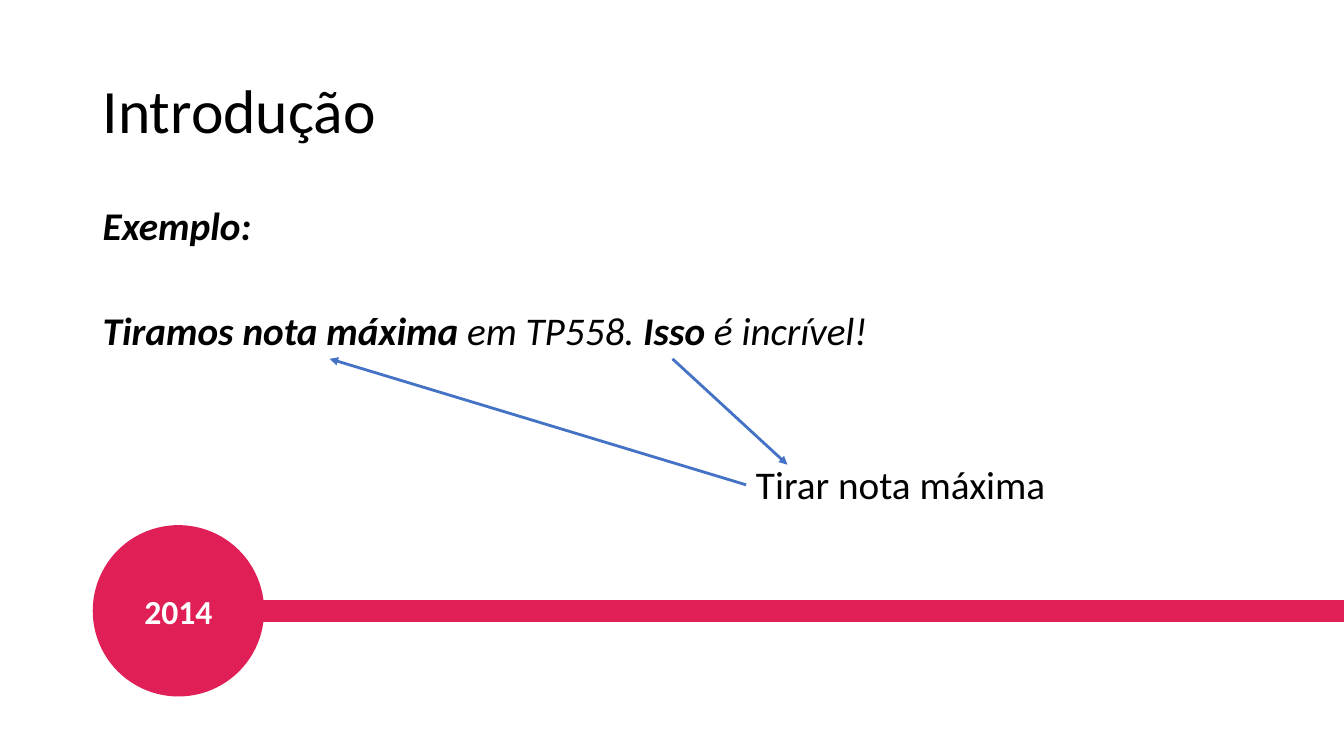
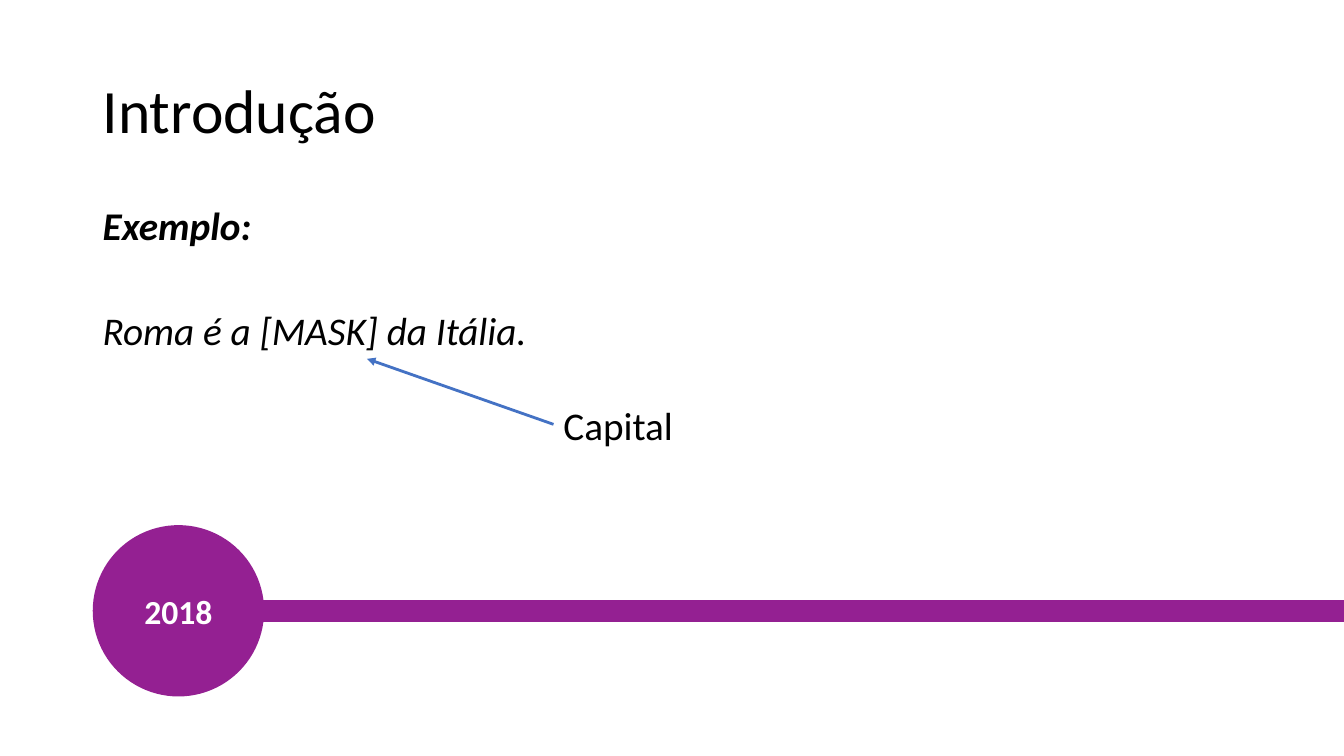
from pptx import Presentation
from pptx.dml.color import RGBColor
from pptx.enum.shapes import MSO_CONNECTOR as CONN, MSO_SHAPE as SHAPE
from pptx.enum.text import MSO_ANCHOR as ANCHOR, MSO_AUTO_SIZE as AUTO, PP_ALIGN as ALIGN
from pptx.oxml.ns import qn
from pptx.util import Inches, Pt
from lxml.etree import SubElement

BLACK = RGBColor(0x00, 0x00, 0x00)
WHITE = RGBColor(0xFF, 0xFF, 0xFF)
BLUE = RGBColor(0x44, 0x72, 0xC4)
PINK = RGBColor(0xDF, 0x1F, 0x56)
PURPLE = RGBColor(0x94, 0x20, 0x92)

WIDTH, HEIGHT = 13.33, 7.5
LEFT = 0.92
TEXT_BOTTOM = 3.56
CIRCLE_TOP, CIRCLE_SIZE = 5.21, 1.7
BAR_START = 2.29
BAR_Y = CIRCLE_TOP + CIRCLE_SIZE / 2

BODY = {"size": Pt(28)}
ITALIC = {**BODY, "italic": True}
STRONG = {**ITALIC, "bold": True}
TITLE = {"size": Pt(44)}
YEAR = {"size": Pt(24), "bold": True}
TIGHT = {"line_spacing": 0.9}
SPACED = {**TIGHT, "space_before": Pt(10)}

SLIDES = [
    {
        "year": "2014",
        "color": PINK,
        "sentence": [("Tiramos nota máxima", STRONG), (" em TP558. ", ITALIC),
                     ("Isso", STRONG), (" é incrível!", ITALIC)],
        "sentence_width": 7.86,
        "answer": "Tirar nota máxima",
        "answer_box": (7.4, 4.52, 3.1, 0.57),
        "arrows": [((6.67, TEXT_BOTTOM), (7.81, 4.61)), ((7.4, 4.81), (3.27, TEXT_BOTTOM))],
    },
    {
        "year": "2018",
        "color": PURPLE,
        "sentence": [("Roma é a [MASK] da Itália.", ITALIC)],
        "sentence_width": 4.45,
        "answer": "Capital",
        "answer_box": (5.49, 3.93, 1.3, 0.57),
        "arrows": [((5.49, 4.21), (3.64, TEXT_BOTTOM))],
    },
]


def write(tf, runs, color=BLACK, **para):
    p = tf.paragraphs[0]
    for name, value in para.items():
        setattr(p, name, value)
    for text, style in runs:
        r = p.add_run()
        r.text = text
        r.font.name = "Calibri"
        r.font.color.rgb = color
        for name, value in style.items():
            setattr(r.font, name, value)


def add_text(s, box, runs, anchor=ANCHOR.TOP, wrap=True, **para):
    tf = s.shapes.add_textbox(*map(Inches, box)).text_frame
    tf.word_wrap = wrap
    tf.auto_size = AUTO.NONE if wrap else AUTO.SHAPE_TO_FIT_TEXT
    tf.vertical_anchor = anchor
    write(tf, runs, **para)


def add_line(s, start, end, color, width, arrow=False):
    line = s.shapes.add_connector(CONN.STRAIGHT, *map(Inches, start + end))
    line.line.color.rgb = color
    line.line.width = Pt(width)
    if arrow:
        SubElement(line.line._get_or_add_ln(), qn("a:tailEnd"), type="triangle")
    SubElement(line._element.spPr, qn("a:effectLst"))


def add_year(s, year, color):
    box = (LEFT, CIRCLE_TOP, CIRCLE_SIZE, CIRCLE_SIZE)
    circle = s.shapes.add_shape(SHAPE.OVAL, *map(Inches, box))
    circle.shadow.inherit = False
    circle.fill.solid()
    circle.fill.fore_color.rgb = color
    circle.line.fill.background()
    circle.text_frame.vertical_anchor = ANCHOR.MIDDLE
    write(circle.text_frame, [(year, YEAR)], WHITE, alignment=ALIGN.CENTER)
    add_line(s, (BAR_START, BAR_Y), (WIDTH, BAR_Y), color, 16)


def add_slide(prs, data):
    s = prs.slides.add_slide(prs.slide_layouts[6])
    add_text(s, (LEFT, 0.4, 11.5, 1.45), [("Introdução", TITLE)], ANCHOR.MIDDLE, **TIGHT)
    add_year(s, data["year"], data["color"])
    add_text(s, (LEFT, 2, 12.06, 1.3), [("Exemplo:", STRONG)], **SPACED)
    add_text(s, (LEFT, 3.04, data["sentence_width"], 0.53), data["sentence"],
             wrap=False, **SPACED)
    add_text(s, data["answer_box"], [(data["answer"], BODY)], wrap=False)
    for start, end in data["arrows"]:
        add_line(s, start, end, BLUE, 2, arrow=True)


def main():
    prs = Presentation()
    prs.slide_width, prs.slide_height = Inches(WIDTH), Inches(HEIGHT)
    for data in SLIDES:
        add_slide(prs, data)
    prs.save("out.pptx")


if __name__ == "__main__":
    main()
